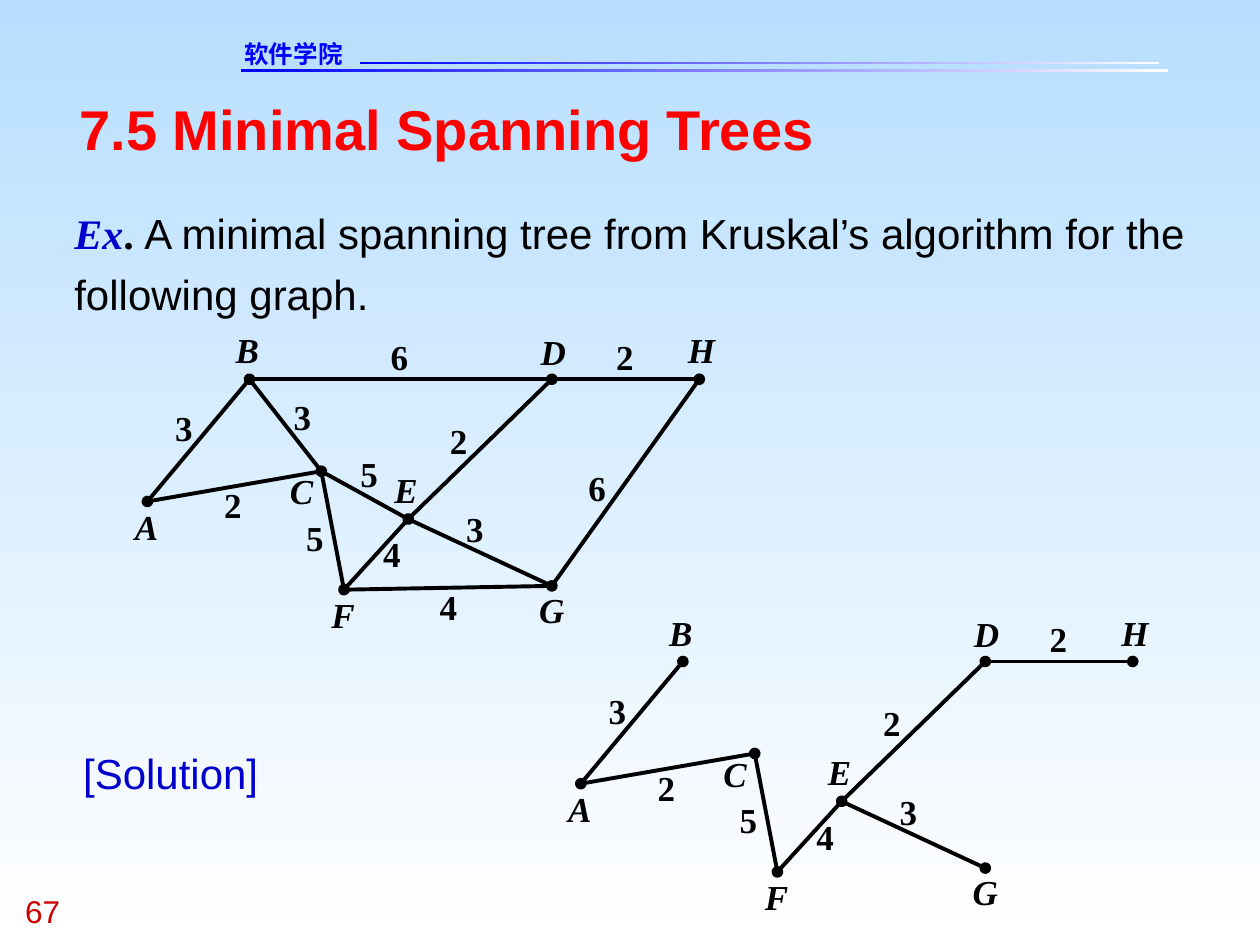
import pptx
import pptx.dml.color
import pptx.enum.shapes
import pptx.enum.text
import pptx.oxml.ns
import pptx.util
from lxml import etree

Inches = pptx.util.Inches
RGBColor = pptx.dml.color.RGBColor
ALIGN = pptx.enum.text.PP_ALIGN
qn = pptx.oxml.ns.qn

SKY = RGBColor(0xB7, 0xDE, 0xFF)
WHITE = RGBColor(0xFF, 0xFF, 0xFF)
BLUE = RGBColor(0x00, 0x00, 0xFF)
DARK_BLUE = RGBColor(0x00, 0x00, 0xCC)
RED = RGBColor(0xFF, 0x00, 0x00)
DARK_RED = RGBColor(0xCC, 0x00, 0x00)
BLACK = RGBColor(0x00, 0x00, 0x00)
SANS, SERIF, HEADER_FONT = "Arial", "Times New Roman", "DejaVu Sans"

# Node: centre, then left, top and width of its name
NODES = {
    "A": ((1.17, 3.98), (1.07, 4.01, 0.19)),
    "B": ((1.98, 3.01), (1.87, 2.61, 0.19)),
    "C": ((2.55, 3.74), (2.3, 3.73, 0.19)),
    "D": ((4.38, 3.01), (4.29, 2.62, 0.2)),
    "E": ((3.24, 4.12), (3.13, 3.72, 0.19)),
    "F": ((2.73, 4.68), (2.63, 4.71, 0.19)),
    "G": ((4.38, 4.65), (4.28, 4.67, 0.2)),
    "H": ((5.55, 3.01), (5.46, 2.61, 0.22)),
}

# Edge: end nodes, weight, left and top of the weight, ends drawn as dots
EDGES = [
    ("HG", "6", (4.67, 3.7), ""),
    ("DE", "2", (3.57, 3.33), "DE"),
    ("BA", "3", (1.39, 3.23), "B"),
    ("AC", "2", (1.78, 3.84), "AC"),
    ("CE", "5", (2.86, 3.59), ""),
    ("CF", "5", (2.43, 4.1), ""),
    ("BC", "3", (2.33, 3.14), ""),
    ("FG", "4", (3.49, 4.65), ""),
    ("EF", "4", (3.04, 4.23), "F"),
    ("EG", "3", (3.7, 4.03), "G"),
    ("BD", "6", (3.1, 2.66), ""),
    ("DH", "2", (4.89, 2.66), "H"),
]
TREE = {"DE", "BA", "AC", "CF", "EF", "EG", "DH"}
TREE_OFFSET = (3.44, 2.24)


class SlideBuilder:
    def __init__(self, presentation):
        self.slide = presentation.slides.add_slide(presentation.slide_layouts[5])
        self.shapes = self.slide.shapes

    def gradient(self, fill, colors, angle):
        fill.gradient()
        fill.gradient_angle = angle
        for stop, color in zip(fill.gradient_stops, colors):
            stop.color.rgb = color

    def set_text(self, shape, runs, size, align=ALIGN.LEFT, spacing=None, wrap=True):
        """Each run is (text, font, color, bold, italic)."""
        frame = shape.text_frame
        frame.margin_left = frame.margin_right = 0
        frame.margin_top = frame.margin_bottom = 0
        frame.vertical_anchor = pptx.enum.text.MSO_ANCHOR.TOP
        frame.auto_size = pptx.enum.text.MSO_AUTO_SIZE.SHAPE_TO_FIT_TEXT
        frame.word_wrap = wrap
        paragraph = frame.paragraphs[0]
        paragraph.alignment = align
        if spacing:
            paragraph.line_spacing = spacing
        for text, font_name, color, bold, italic in runs:
            run = paragraph.add_run()
            run.text = text
            run.font.size = pptx.util.Pt(size)
            run.font.name = font_name
            run.font.color.rgb = color
            run.font.bold, run.font.italic = bold, italic
            east_asian = etree.SubElement(run.font._element, qn("a:ea"))
            east_asian.set("typeface", font_name)

    def title(self, box, text):
        shape = self.shapes.title
        shape.left, shape.top, shape.width, shape.height = map(Inches, box)
        self.set_text(shape, [(text, SANS, RED, True, False)], 32)

    def text(self, box, runs, size, spacing=None):
        shape = self.shapes.add_textbox(*map(Inches, box))
        self.set_text(shape, runs, size, spacing=spacing)

    def label(self, shapes, box, text, italic):
        shape = shapes.add_textbox(*map(Inches, box))
        self.set_text(shape, [(text, SERIF, BLACK, True, italic)], 20,
                      align=ALIGN.JUSTIFY, wrap=False)

    def bar(self, box):
        shape = self.shapes.add_shape(
            pptx.enum.shapes.MSO_SHAPE.RECTANGLE, *map(Inches, box))
        shape.shadow.inherit = False
        shape.line.fill.background()
        self.gradient(shape.fill, (WHITE, BLUE), 180)

    def edge(self, shapes, start, end, dots):
        connector = shapes.add_connector(
            pptx.enum.shapes.MSO_CONNECTOR.STRAIGHT, *map(Inches, start + end))
        connector.line.color.rgb = BLACK
        connector.line.width = pptx.util.Pt(2.25)
        properties = connector._element.spPr
        line = properties.find(qn("a:ln"))
        for tag, dotted in zip(("a:headEnd", "a:tailEnd"), dots):
            if dotted:
                etree.SubElement(line, qn(tag)).set("type", "oval")
        etree.SubElement(properties, qn("a:effectLst"))

    def graph(self, edges, offset=(0, 0)):
        shapes = self.shapes.add_group_shape().shapes
        dx, dy = offset

        def moved(point):
            return point[0] + dx, point[1] + dy

        for ends, weight, place, dots in edges:
            start, end = (moved(NODES[name][0]) for name in ends)
            self.edge(shapes, start, end, [name in dots for name in ends])
            self.label(shapes, moved(place) + (0.14, 0.33), weight, False)
        for name, (_, (left, top, width)) in NODES.items():
            self.label(shapes, moved((left, top)) + (width, 0.33), name, True)


def main():
    presentation = pptx.Presentation()
    presentation.slide_width = Inches(10)
    presentation.slide_height = Inches(7.5)
    builder = SlideBuilder(presentation)
    builder.gradient(builder.slide.background.fill, (SKY, WHITE), 270)

    # Header and page number
    builder.bar((1.91, 0.55, 7.36, 0.02))
    builder.bar((2.86, 0.49, 6.34, 0.02))
    builder.text((1.94, 0.31, 1.45, 0.23),
                 [("软件学院", HEADER_FONT, BLUE, True, False)], 14)
    builder.text((0.2, 7.08, 0.75, 0.3),
                 [("67", SANS, DARK_RED, False, False)], 18)

    # Title and example
    builder.title((0.63, 0.75, 8.75, 0.53), "7.5 Minimal Spanning Trees")
    builder.text((0.59, 1.57, 8.95, 0.96), [
        ("Ex", SERIF, DARK_BLUE, True, True),
        (". ", SERIF, BLACK, True, False),
        ("A minimal spanning tree from Kruskal’s algorithm for the following graph.",
         SANS, BLACK, False, False),
    ], 24, spacing=1.2)

    # Weighted graph and its minimal spanning tree
    builder.graph(EDGES)
    builder.text((0.66, 5.85, 2.05, 0.48),
                 [("[Solution]", SANS, DARK_BLUE, False, False)], 24, spacing=1.2)
    builder.graph([edge for edge in EDGES if edge[0] in TREE], TREE_OFFSET)

    presentation.save("out.pptx")


if __name__ == "__main__":
    main()
